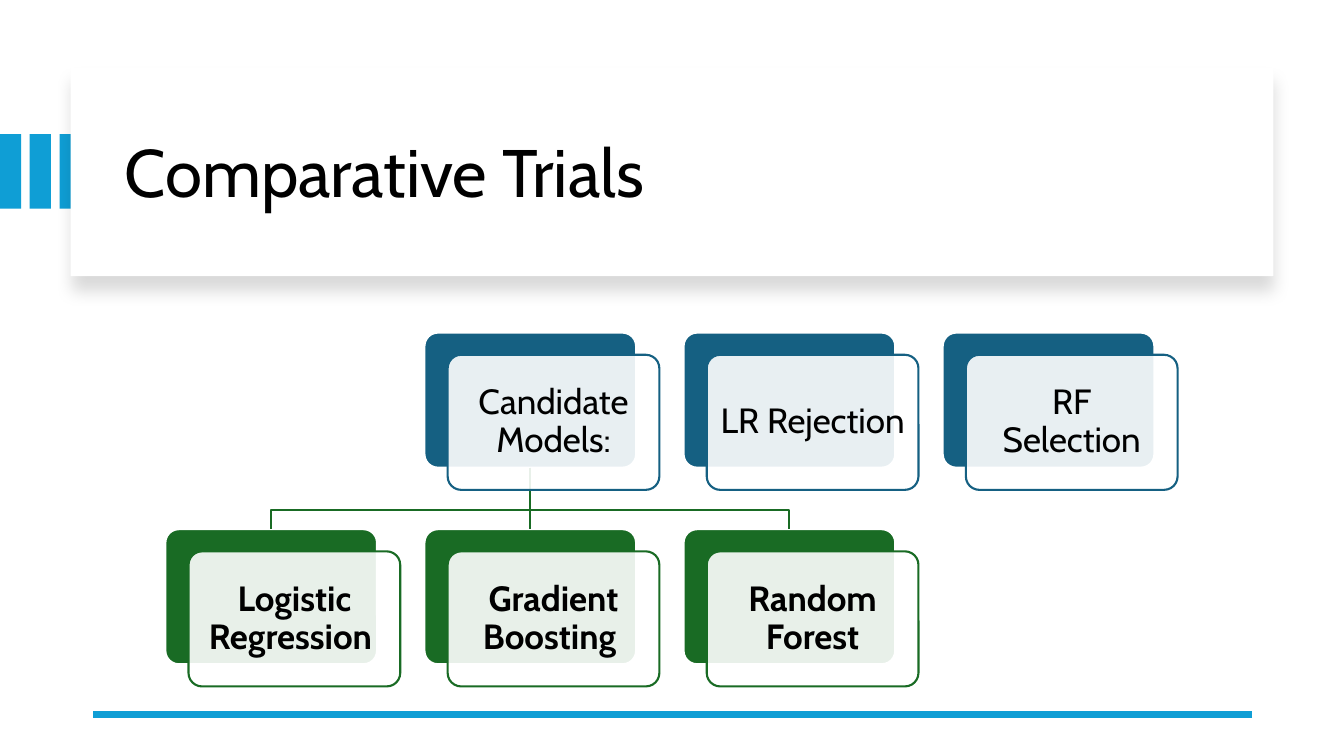
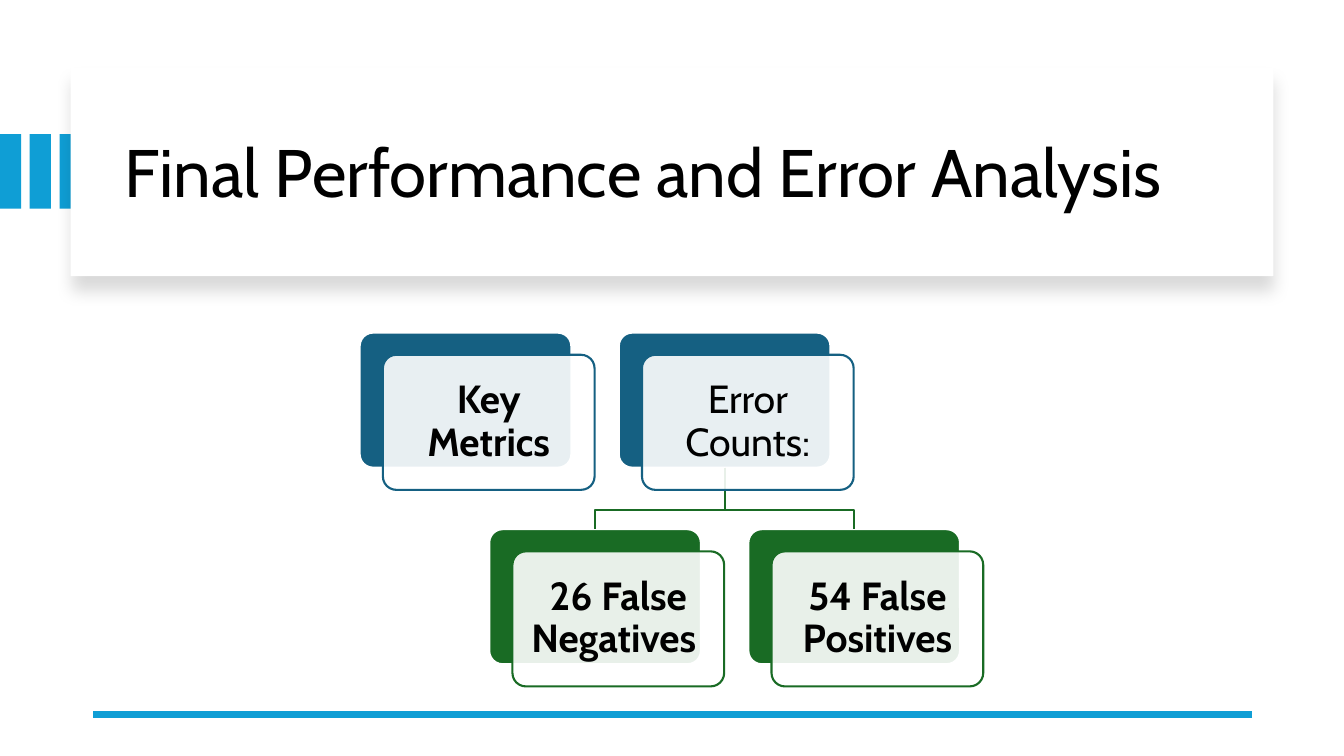
from lxml.etree import SubElement
from pptx import Presentation
from pptx.dml.color import RGBColor
from pptx.enum.shapes import MSO_CONNECTOR as Connector, MSO_SHAPE as Shape
from pptx.enum.text import MSO_ANCHOR as Anchor, PP_ALIGN as Align
from pptx.oxml.ns import qn
from pptx.util import Inches, Pt

COLORS = {
    "accent": "0F9ED5",
    "parent": "156082",
    "child": "196B24",
    "paper": "FFFFFF",
    "ink": "000000",
}
FONT = "Cabin"
WIDTH, HEIGHT = 13.33, 7.5
GRID_LEFT, GRID_TOP = 1.64, 3.3
COLUMN_STEP, ROW_STEP = 2.57, 1.95
CARD_WIDTH, CARD_HEIGHT = 2.1, 1.34
FRONT_SHIFT_X, FRONT_SHIFT_Y = 0.23, 0.22
BRANCH_DROP = 0.42
THIN_LINE, RULE_LINE = 1.5, 4.5
BOTTOM, TOP = 2, 0


def color(name):
    return RGBColor.from_string(COLORS[name])


class Painter:
    """Holds the deck, its shared style and the slide being drawn."""

    def __init__(self):
        self.deck = Presentation()
        self.deck.slide_width = Inches(WIDTH)
        self.deck.slide_height = Inches(HEIGHT)
        self.shapes = None

    def new_slide(self, title):
        self.shapes = self.deck.slides.add_slide(self.deck.slide_layouts[6]).shapes
        for index in range(3):
            self.block(Shape.RECTANGLE, 0.295 * index, 1.33, 0.21, 0.74, "accent")
        self.cast_shadow(self.block(Shape.RECTANGLE, 0.7, 0.67, 11.93, 2.07, "paper"))
        box = self.shapes.add_textbox(*map(Inches, (1.14, 0.89, 11.13, 1.7)))
        self.set_text(box, title, 48)
        self.line((12.42, 7.09), (0.92, 7.09), "accent", RULE_LINE)

    def block(self, kind, left, top, width, height, fill, outline=None):
        shape = self.shapes.add_shape(kind, *map(Inches, (left, top, width, height)))
        shape.shadow.inherit = False
        shape.fill.solid()
        shape.fill.fore_color.rgb = color(fill)
        if outline:
            shape.line.color.rgb = color(outline)
            shape.line.width = Pt(THIN_LINE)
        else:
            shape.line.fill.background()
        return shape

    def cast_shadow(self, shape):
        effects = shape._element.spPr.find(qn("a:effectLst"))
        shadow = SubElement(effects, qn("a:outerShdw"), blurRad=str(Pt(11)),
                            dist=str(Pt(10)), dir="5400000", algn="t", rotWithShape="0")
        tint = SubElement(shadow, qn("a:srgbClr"), val=COLORS["ink"])
        SubElement(tint, qn("a:alpha"), val="15000")

    def set_text(self, box, text, size, bold=False, align=Align.LEFT):
        frame = box.text_frame
        frame.word_wrap = True
        frame.vertical_anchor = Anchor.MIDDLE
        frame.text = text
        para = frame.paragraphs[0]
        para.alignment = align
        para.line_spacing = 0.9
        span = para.runs[0]
        span.font.name = FONT
        span.font.size = Pt(size)
        span.font.bold = bold
        span.font.color.rgb = color("ink")

    def line(self, start, end, stroke, weight):
        line = self.shapes.add_connector(Connector.STRAIGHT, *map(Inches, start + end))
        line.line.color.rgb = color(stroke)
        line.line.width = Pt(weight)
        SubElement(line._element.spPr, qn("a:effectLst"))
        return line

    def card_back(self, column, row, tone):
        back = self.block(Shape.ROUNDED_RECTANGLE, GRID_LEFT + column * COLUMN_STEP,
                          GRID_TOP + row * ROW_STEP, CARD_WIDTH, CARD_HEIGHT, tone, "paper")
        back.adjustments[0] = 0.1
        return back

    def card_front(self, back, tone, text, bold, size, inset):
        """Lay the translucent, labelled plate over a card's back."""
        front = self.block(Shape.ROUNDED_RECTANGLE, back.left.inches + FRONT_SHIFT_X,
                           back.top.inches + FRONT_SHIFT_Y, CARD_WIDTH, CARD_HEIGHT,
                           "paper", tone)
        front.adjustments[0] = 0.1
        tint = front._element.spPr.find(qn("a:solidFill"))[0]
        SubElement(tint, qn("a:alpha"), val="90000")
        frame = front.text_frame
        frame.margin_left = frame.margin_right = Inches(inset)
        frame.margin_top = frame.margin_bottom = Inches(inset)
        self.set_text(front, text, size, bold, Align.CENTER)

    def branch(self, parent, child):
        """Join two cards, straight when aligned and with a step otherwise."""
        start_x, end_x = (card.left + card.width // 2 for card in (parent, child))
        start_y, end_y = parent.top + parent.height, child.top
        if start_x == end_x:
            stem = self.line((0, 0), (1, 1), "child", THIN_LINE)
            stem.begin_connect(parent, BOTTOM)
            stem.end_connect(child, TOP)
            return
        bend_y = start_y + Inches(BRANCH_DROP)
        outline = self.shapes.build_freeform(start_x, start_y)
        outline.add_line_segments(
            [(start_x, bend_y), (end_x, bend_y), (end_x, end_y)], close=False)
        step = outline.convert_to_shape()
        step.shadow.inherit = False
        step.fill.background()
        step.line.color.rgb = color("child")
        step.line.width = Pt(THIN_LINE)

    def hierarchy(self, parents, children, first_columns, branching, size, inset):
        """Draw two rows of (text, bold) cards; parents[branching] owns the children."""
        rows = []
        for row, (labels, tone) in enumerate([(parents, "parent"), (children, "child")]):
            rows.append([(self.card_back(first_columns[row] + index, row, tone), tone, *label)
                         for index, label in enumerate(labels)])
        for child in rows[1]:
            self.branch(rows[0][branching][0], child[0])
        for card in rows[0] + rows[1]:
            self.card_front(*card, size, inset)


def main():
    painter = Painter()

    painter.new_slide("Comparative Trials")
    painter.hierarchy(
        parents=[("Candidate Models:", False), ("LR Rejection", False),
                 ("RF Selection", False)],
        children=[("Logistic Regression ", True), ("Gradient Boosting ", True),
                  ("Random Forest", True)],
        first_columns=(1, 0), branching=0, size=25, inset=0.1)

    painter.new_slide("Final Performance and Error Analysis")
    painter.hierarchy(
        parents=[("Key Metrics", True), ("Error Counts:", False)],
        children=[("26 False Negatives ", True), ("54 False Positives", True)],
        first_columns=(0.75, 1.25), branching=1, size=28, inset=0.12)

    painter.deck.save("out.pptx")


if __name__ == "__main__":
    main()
